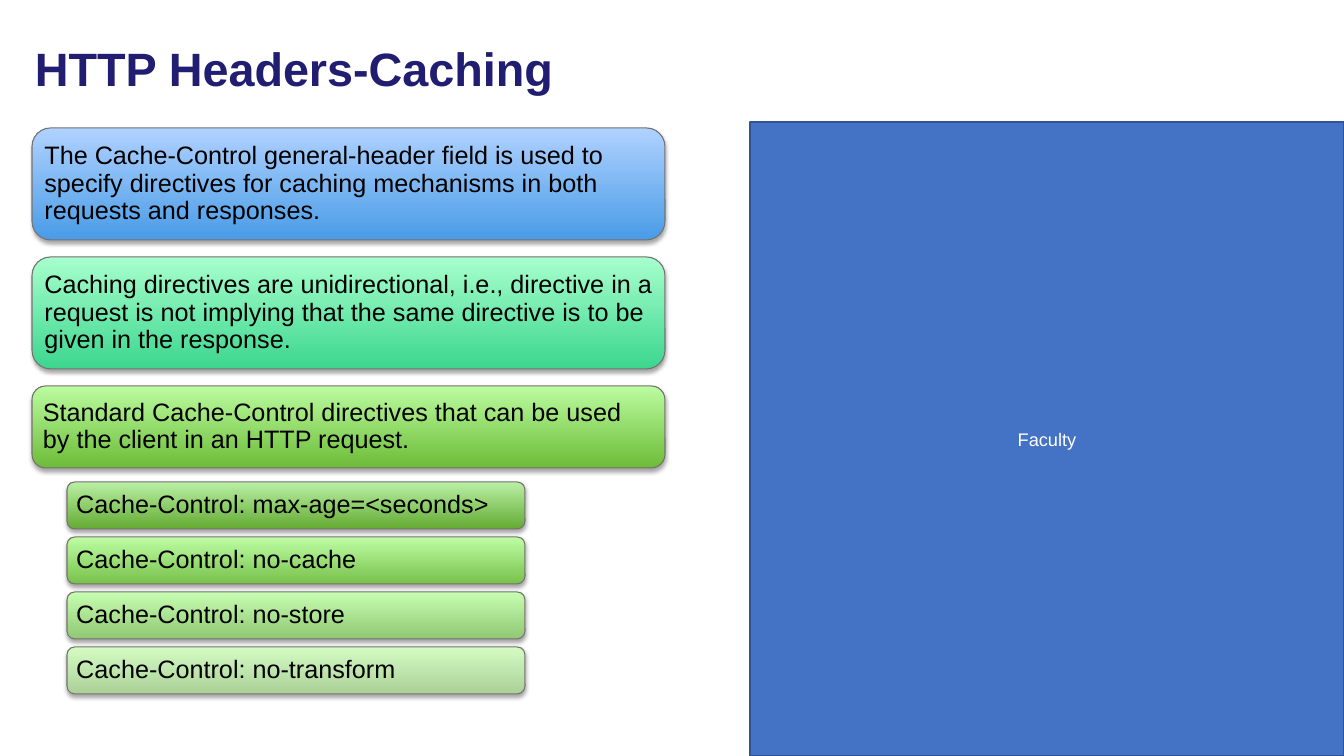
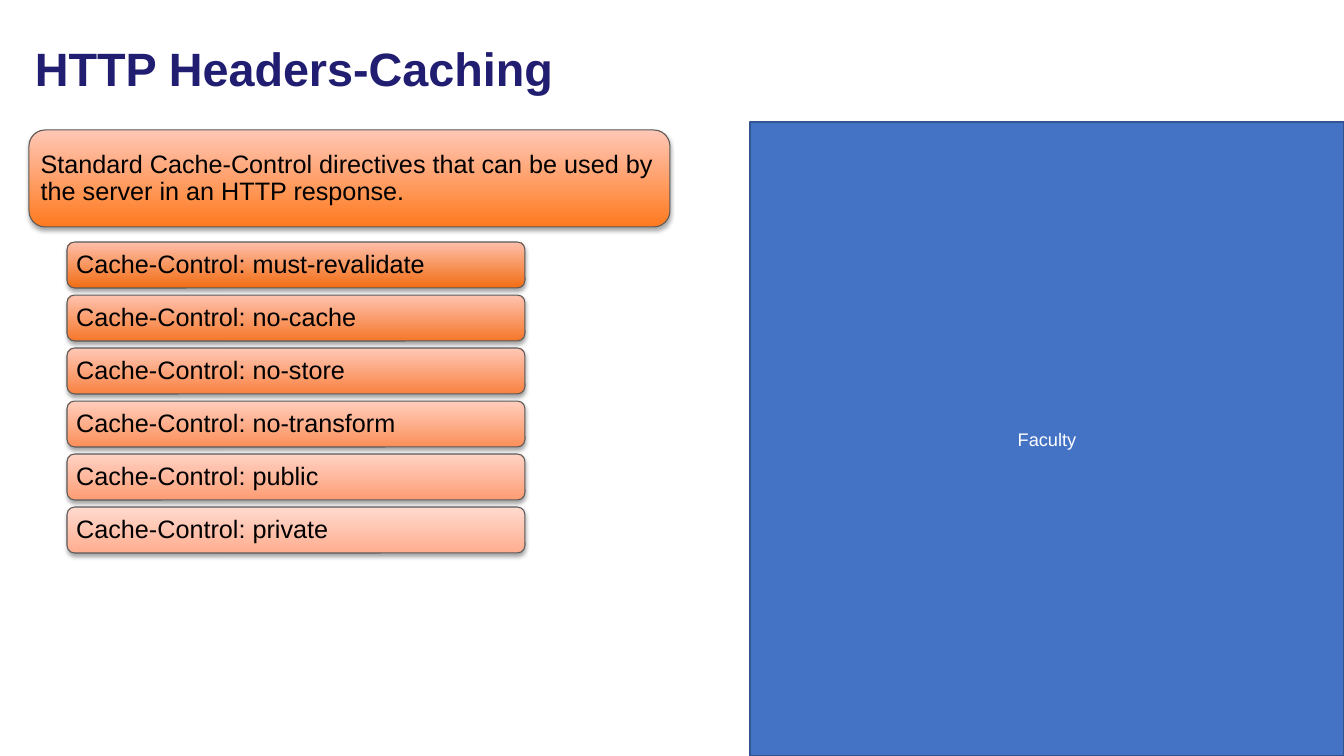
from lxml.etree import SubElement
from pptx import Presentation
from pptx.dml.color import RGBColor
from pptx.enum.shapes import MSO_SHAPE as Shape
from pptx.enum.text import MSO_ANCHOR as Anchor, PP_ALIGN as Align
from pptx.oxml.ns import qn
from pptx.util import Emu, Pt

PX = 914400 / 100.8
FONT = "Arial"
TITLE_COLOR = "211D70"
PANEL_FILL, PANEL_EDGE = "4472C4", "325491"
TEXT_COLOR, PANEL_TEXT = "000000", "FFFFFF"
WARM_GRAY, DARK_GRAY = "767171", "595959"

TITLE = "HTTP Headers-Caching"
RULES = [
    ("The Cache-Control general-header field is used to specify directives "
     "for caching mechanisms in both requests and responses.", "499CE7", "B0D2FF"),
    ("Caching directives are unidirectional, i.e., directive in a request is not "
     "implying that the same directive is to be given in the response.", "3CD68F", "A7FFCC"),
]
REQUEST_HEADING = [
    ("Standard Cache-Control directives that can be used by the client "
     "in an HTTP request.", "6DBC38", "BBFCA0"),
]
REQUEST_DIRECTIVES = [
    ("Cache-Control: max-age=<seconds>", "63AB33", "BBF0A5"),
    ("Cache-Control: no-cache", "77C14B", "BEFEA4"),
    ("Cache-Control: no-store", "90C874", "C7FDB1"),
    ("Cache-Control: no-transform", "ABD199", "D3FBC2"),
]
RESPONSE_HEADING = [
    ("Standard Cache-Control directives that can be used by the server "
     "in an HTTP response.", "FF7A1F", "FFC7B6"),
]
RESPONSE_DIRECTIVES = [
    ("Cache-Control: must-revalidate", "F16D13", "FFBFAB"),
    ("Cache-Control: no-cache", "F5772A", "FFC3B0"),
    ("Cache-Control: no-store", "F98242", "FFC8B6"),
    ("Cache-Control: no-transform", "FC8F5A", "FFCEBD"),
    ("Cache-Control: public", "FE9D74", "FFD3C5"),
    ("Cache-Control: private", "FFAD8F", "FFDACF"),
]


def px(length):
    return Emu(round(length * PX))


def color(value):
    return RGBColor.from_string(value)


def write(box, text, size, shade, bold=False, align=Align.LEFT, spacing=0.9):
    frame = box.text_frame
    frame.word_wrap = True
    frame.vertical_anchor = Anchor.MIDDLE
    para = frame.paragraphs[0]
    para.alignment = align
    para.line_spacing = spacing
    span = para.add_run()
    span.text = text
    span.font.name = FONT
    span.font.size = Pt(size)
    span.font.bold = bold
    span.font.color.rgb = color(shade)
    return frame


def add_shape(page, kind, left, top, width, height, edge, weight):
    shape = page.shapes.add_shape(kind, px(left), px(top), px(width), px(height))
    shape.shadow.inherit = False
    shape.line.color.rgb = color(edge)
    shape.line.width = Pt(weight)
    return shape


def add_shadow(shape):
    effects = shape._element.spPr.find(qn("a:effectLst"))
    shadow = SubElement(effects, qn("a:outerShdw"), blurRad=str(Pt(3.1)),
                        dist=str(Pt(1.8)), dir="5400000", rotWithShape="0")
    tone = SubElement(shadow, qn("a:srgbClr"), val="000000")
    SubElement(tone, qn("a:alpha"), val="35000")


def add_card(page, left, top, width, height, edge, text, bottom, upper):
    card = add_shape(page, Shape.ROUNDED_RECTANGLE, left, top, width, height, edge, 0.75)
    card.fill.gradient()
    card.fill.gradient_angle = 90
    for stop, shade in zip(card.fill.gradient_stops, (bottom, upper)):
        stop.color.rgb = color(shade)
    add_shadow(card)
    frame = write(card, text, 18, TEXT_COLOR)
    frame.margin_left = frame.margin_right = px(7)
    frame.margin_top = frame.margin_bottom = px(7)


def add_stack(page, left, top, width, height, edge, cards, gap=0):
    for index, card in enumerate(cards):
        add_card(page, left, top + index * (height + gap), width, height, edge, *card)


def add_page(deck):
    page = deck.slides.add_slide(deck.slide_layouts[6])
    panel = add_shape(page, Shape.RECTANGLE, 750, 122, 594, 634, PANEL_EDGE, 2)
    panel.fill.solid()
    panel.fill.fore_color.rgb = color(PANEL_FILL)
    write(panel, "Faculty", 13, PANEL_TEXT, align=Align.CENTER, spacing=1.0)
    title = page.shapes.add_textbox(px(25), px(25), px(1190), px(92))
    write(title, TITLE, 33.4, TITLE_COLOR, bold=True)
    return page


def main():
    deck = Presentation()
    deck.slide_width, deck.slide_height = px(1344), px(756)

    page = add_page(deck)
    add_stack(page, 32, 128, 633, 112, WARM_GRAY, RULES, gap=17)
    add_stack(page, 32, 386, 633, 82, WARM_GRAY, REQUEST_HEADING)
    add_stack(page, 67, 482, 458, 47, WARM_GRAY, REQUEST_DIRECTIVES, gap=8)

    page = add_page(deck)
    add_stack(page, 29, 130, 641, 97, DARK_GRAY, RESPONSE_HEADING)
    add_stack(page, 67, 242, 458, 46, DARK_GRAY, RESPONSE_DIRECTIVES, gap=7)

    deck.save("out.pptx")


if __name__ == "__main__":
    main()
